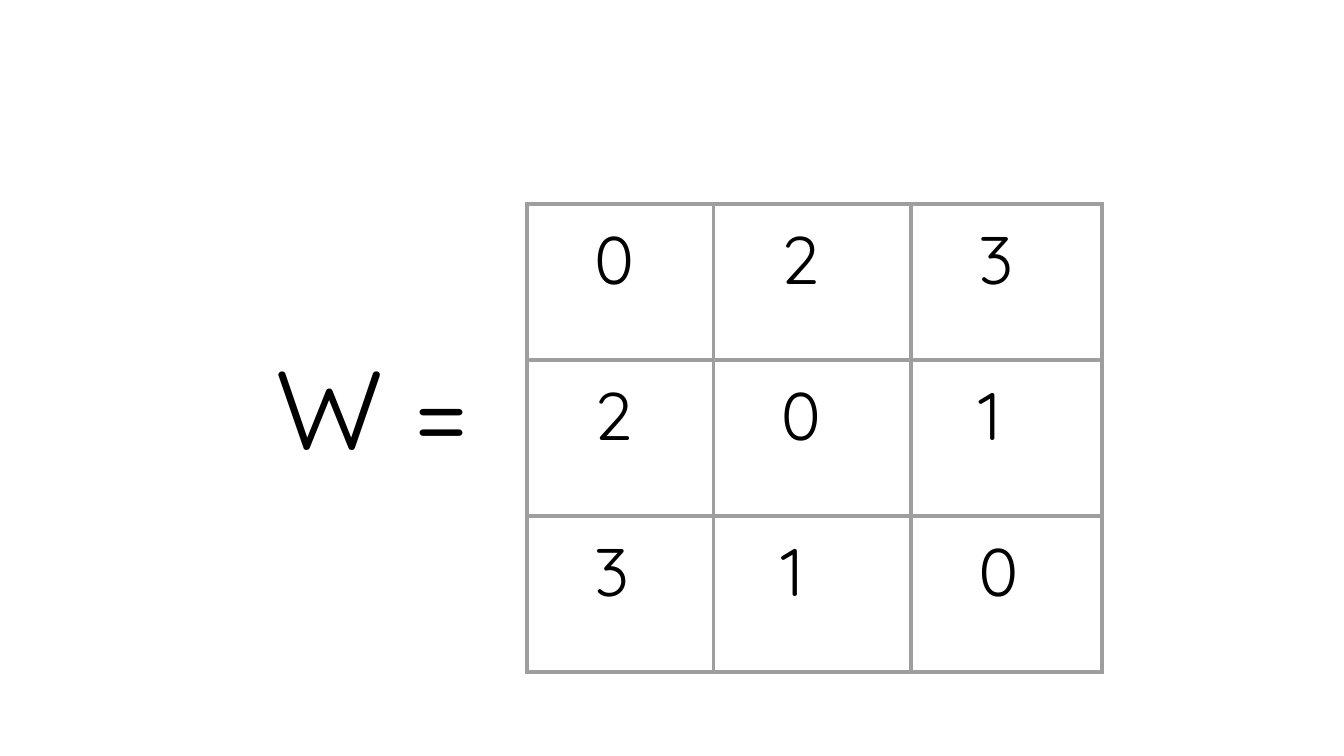
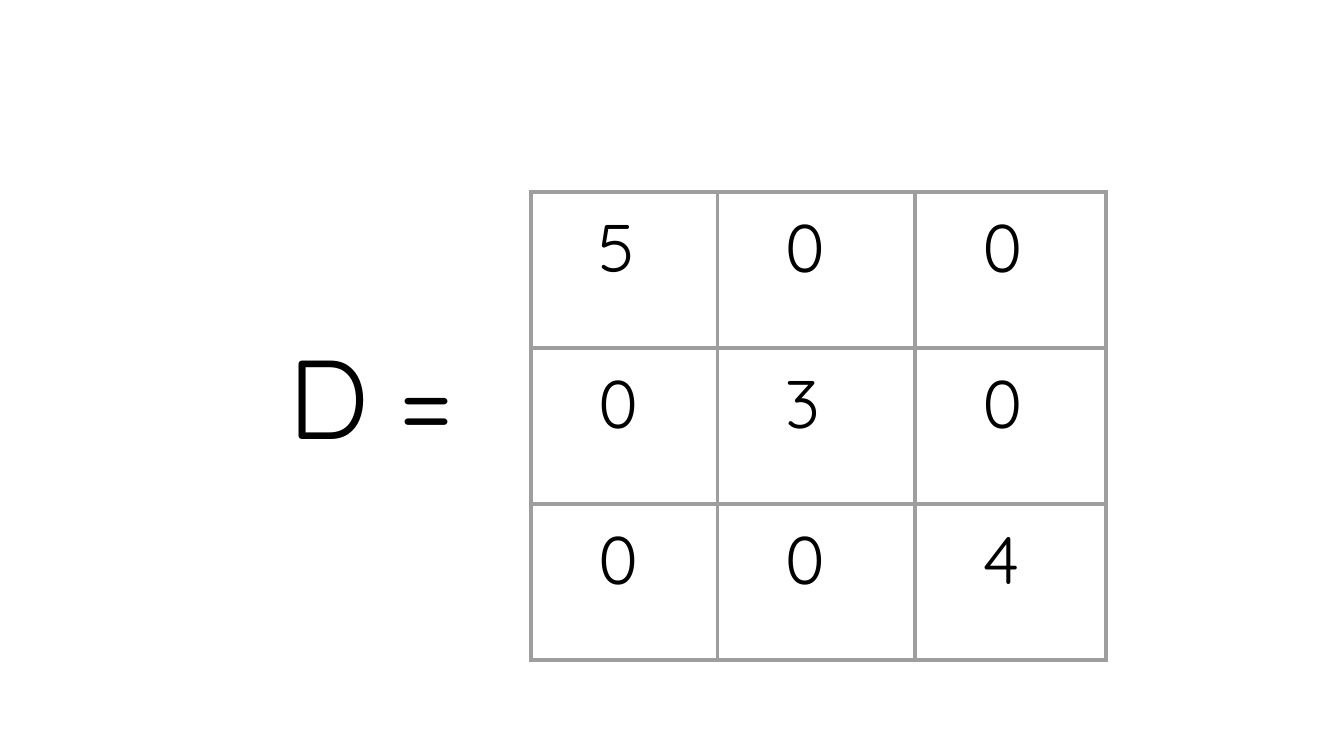
import dataclasses

import lxml.etree
import pptx
import pptx.dml.color
import pptx.enum.text
import pptx.oxml.ns
import pptx.util

Inches = pptx.util.Inches
Pt = pptx.util.Pt


@dataclasses.dataclass(frozen=True)
class Theme:
    font: str = "Quicksand"
    text: str = "000000"
    background: str = "FFFFFF"
    grid: str = "9E9E9E"
    grid_width: float = 2.25
    label_size: int = 60
    entry_size: int = 36
    inset: float = 0.1
    entry_indent: float = 0.4


THEME = Theme()
SLIDE_WIDTH = Inches(10)
SLIDE_HEIGHT = SLIDE_WIDTH * 9 // 16
COLUMN_WIDTHS = (1.39, 1.47, 1.42)
ROW_HEIGHT = 1.16
LABEL_SIZE = (2.15, 1.67)


def rgb(value):
    return pptx.dml.color.RGBColor.from_string(value)


def set_format(obj, values):
    for name, value in values.items():
        setattr(obj, name, value)


def set_insets(obj):
    set_format(obj, {f"margin_{side}": Inches(THEME.inset)
                     for side in ("left", "right", "top", "bottom")})


def write_text(tf, text, size):
    p = tf.paragraphs[0]
    r = p.add_run()
    r.text = text
    set_format(r.font, {"name": THEME.font, "size": Pt(size), "bold": False})
    r.font.color.rgb = rgb(THEME.text)
    return p


def add_borders(cell):
    qn = pptx.oxml.ns.qn
    tc_pr = cell._tc.get_or_add_tcPr()
    for tag in ("a:lnL", "a:lnR", "a:lnT", "a:lnB"):
        ln = lxml.etree.SubElement(tc_pr, qn(tag), w=str(Pt(THEME.grid_width)))
        fill = lxml.etree.SubElement(ln, qn("a:solidFill"))
        lxml.etree.SubElement(fill, qn("a:srgbClr"), val=THEME.grid)


def add_entry(cell, value):
    set_insets(cell)
    add_borders(cell)
    cell.fill.background()
    cell.vertical_anchor = pptx.enum.text.MSO_ANCHOR.TOP
    p = write_text(cell.text_frame, str(value), THEME.entry_size)
    p._p.get_or_add_pPr().set("marL", str(Inches(THEME.entry_indent)))


def add_matrix(s, left, top, rows):
    table = s.shapes.add_table(
        len(rows), len(COLUMN_WIDTHS), Inches(left), Inches(top),
        Inches(sum(COLUMN_WIDTHS)), Inches(ROW_HEIGHT * len(rows))).table
    set_format(table, {"first_row": False, "horz_banding": False})
    for column, width in zip(table.columns, COLUMN_WIDTHS):
        column.width = Inches(width)
    for i, values in enumerate(rows):
        table.rows[i].height = Inches(ROW_HEIGHT)
        for j, value in enumerate(values):
            add_entry(table.cell(i, j), value)


def add_label(s, left, top, text):
    sp = s.shapes.add_textbox(*map(Inches, (left, top, *LABEL_SIZE)))
    tf = sp.text_frame
    tf.word_wrap = True
    set_insets(tf)
    write_text(tf, text, THEME.label_size)


def add_matrix_slide(prs, label, label_at, matrix_at, rows):
    s = prs.slides.add_slide(prs.slide_layouts[6])
    s.background.fill.solid()
    s.background.fill.fore_color.rgb = rgb(THEME.background)
    add_matrix(s, *matrix_at, rows)
    add_label(s, *label_at, label)


def main():
    prs = pptx.Presentation()
    set_format(prs, {"slide_width": SLIDE_WIDTH, "slide_height": SLIDE_HEIGHT})
    add_matrix_slide(prs, "W =", (1.95, 2.42), (3.92, 1.52),
                     ((0, 2, 3), (2, 0, 1), (3, 1, 0)))
    add_matrix_slide(prs, "D =", (2.05, 2.34), (3.95, 1.43),
                     ((5, 0, 0), (0, 3, 0), (0, 0, 4)))
    prs.save("out.pptx")


if __name__ == "__main__":
    main()
